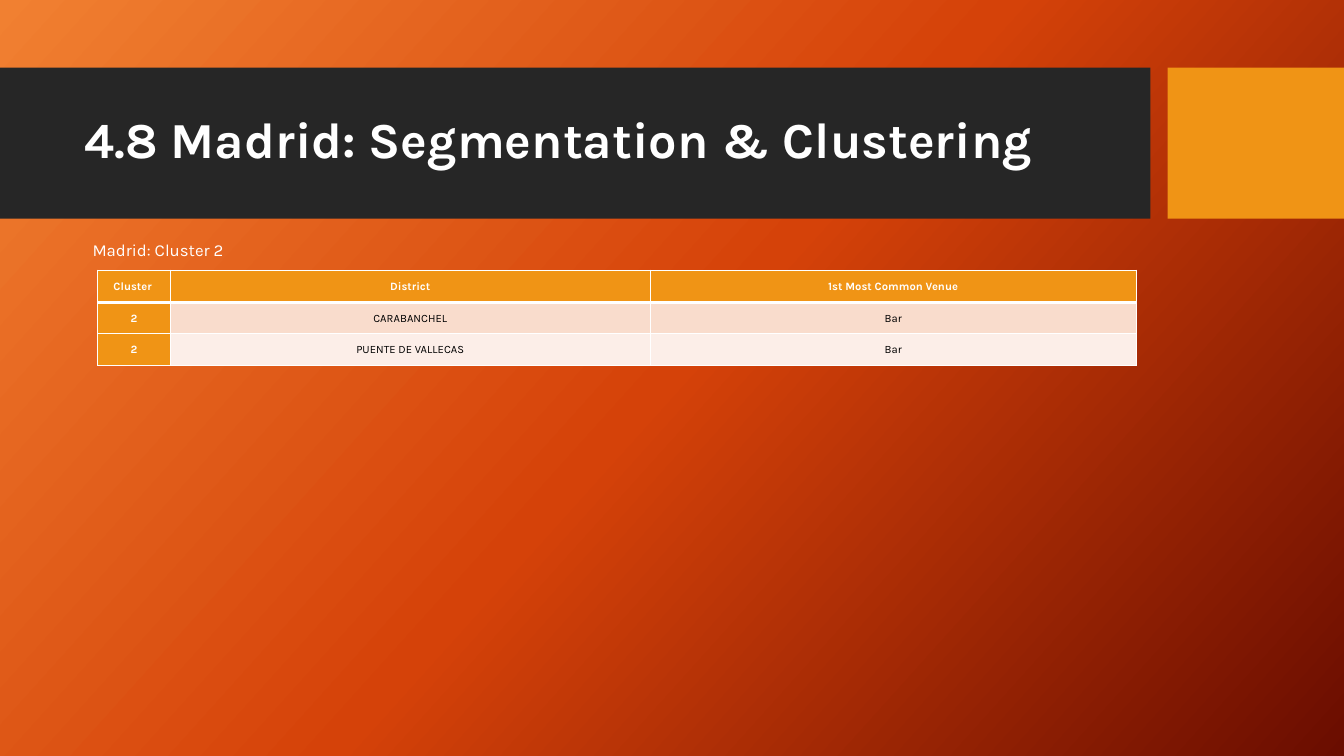
from copy import deepcopy

from lxml.etree import SubElement
from pptx import Presentation
from pptx.dml.color import RGBColor
from pptx.enum.shapes import MSO_SHAPE as Preset
from pptx.enum.text import MSO_ANCHOR as Anchor, PP_ALIGN as Align
from pptx.oxml.ns import qn
from pptx.util import Inches, Pt

WHITE = RGBColor(0xFF, 0xFF, 0xFF)
BLACK = RGBColor(0x00, 0x00, 0x00)
CHARCOAL = RGBColor(0x26, 0x26, 0x26)
AMBER = RGBColor(0xF0, 0x94, 0x15)
ROW_TINTS = (RGBColor(0xF9, 0xDC, 0xCC), RGBColor(0xFC, 0xEE, 0xE8))
GRADIENT = (
    (0, RGBColor(0xF1, 0x80, 0x31)),
    (0.5, RGBColor(0xD5, 0x42, 0x09)),
    (1, RGBColor(0x6A, 0x0D, 0x00)),
)
FONT = "Karla"

CLUSTER_ROWS = (
    ("Cluster ", "District", "1st Most Common Venue"),
    ("2", "CARABANCHEL", "Bar"),
    ("2", "PUENTE DE VALLECAS", "Bar"),
)
COLUMN_WIDTHS = (0.72, 4.76, 4.82)
ROW_HEIGHTS = (0.32, 0.31, 0.32)


def apply(target, **values):
    for name, value in values.items():
        setattr(target, name, value)


class ClusterSlide:
    def __init__(self, deck):
        self.slide = deck.slides.add_slide(deck.slide_layouts[5])
        self.shapes = self.slide.shapes

    def background(self, stops, angle):
        fill = self.slide.background.fill
        fill.gradient()
        fill.gradient_angle = angle
        first = self.slide.background._cSld.find(".//" + qn("a:gs"))
        first.addnext(deepcopy(first))
        for stop, (position, color) in zip(fill.gradient_stops, stops):
            stop.position = position
            stop.color.rgb = color

    def band(self, left, width, color):
        band = self.shapes.add_shape(
            Preset.RECTANGLE, Inches(left), Inches(0.67), Inches(width), Inches(1.5))
        band.shadow.inherit = False
        band.fill.solid()
        band.fill.fore_color.rgb = color
        band.line.fill.background()

    def add_text(self, paragraph, text, size, color=WHITE, bold=False, **spacing):
        run = paragraph.add_run()
        run.text = text
        apply(run.font, name=FONT, size=Pt(size), bold=bold)
        run.font.color.rgb = color
        apply(paragraph, **spacing)

    def title(self, text):
        title = self.shapes.title
        apply(title, left=Inches(0.74), top=Inches(0.82),
              width=Inches(10.51), height=Inches(1.18))
        apply(title.text_frame, vertical_anchor=Anchor.MIDDLE, word_wrap=True)
        self.add_text(title.text_frame.paragraphs[0], text, 36, bold=True,
                      alignment=Align.LEFT, line_spacing=0.9)
        # Bring the title in front of the bands
        self.shapes._spTree.append(title._element)

    def caption(self, text):
        frame = self.shapes.add_textbox(
            Inches(0.74), Inches(2.24), Inches(10.51), Inches(0.44)).text_frame
        frame.word_wrap = True
        line = frame.paragraphs[0]
        self.add_text(line, " ", 24, line_spacing=0.8, space_before=Pt(10))
        self.add_text(line, text, 12)

    def borders(self, cell, top, bottom):
        properties = cell._tc.get_or_add_tcPr()
        widths = {"a:lnL": 1, "a:lnR": 1, "a:lnT": top, "a:lnB": bottom}
        for index, (side, width) in enumerate(widths.items()):
            line = SubElement(properties, qn(side), w=str(Pt(width)))
            solid = SubElement(line, qn("a:solidFill"))
            SubElement(solid, qn("a:srgbClr"), val=str(WHITE))
            properties.insert(index, line)

    def table(self, rows):
        table = self.shapes.add_table(
            len(rows), len(rows[0]), Inches(0.97), Inches(2.68),
            Inches(sum(COLUMN_WIDTHS)), Inches(sum(ROW_HEIGHTS))).table
        for column, width in zip(table.columns, COLUMN_WIDTHS):
            column.width = Inches(width)
        for r, (row, height) in enumerate(zip(rows, ROW_HEIGHTS)):
            table.rows[r].height = Inches(height)
            for c, text in enumerate(row):
                heading = r == 0 or c == 0
                cell = table.cell(r, c)
                apply(cell, vertical_anchor=Anchor.MIDDLE,
                      margin_left=Inches(0.07), margin_right=Inches(0.07),
                      margin_top=0, margin_bottom=0)
                cell.fill.solid()
                cell.fill.fore_color.rgb = AMBER if heading else ROW_TINTS[r - 1]
                self.borders(cell, top=3 if r == 1 else 1, bottom=3 if r == 0 else 1)
                self.add_text(cell.text_frame.paragraphs[0], text, 8,
                              WHITE if heading else BLACK, heading,
                              alignment=Align.CENTER, line_spacing=1.07)


def main():
    deck = Presentation()
    apply(deck, slide_width=Inches(13.33), slide_height=Inches(7.5))
    page = ClusterSlide(deck)
    page.background(GRADIENT, angle=360 - 42)
    page.band(0, 11.41, CHARCOAL)
    page.band(11.58, 1.75, AMBER)
    page.title("4.8 Madrid: Segmentation & Clustering")
    page.table(CLUSTER_ROWS)
    page.caption("Madrid: Cluster 2")
    deck.save("out.pptx")


if __name__ == "__main__":
    main()
